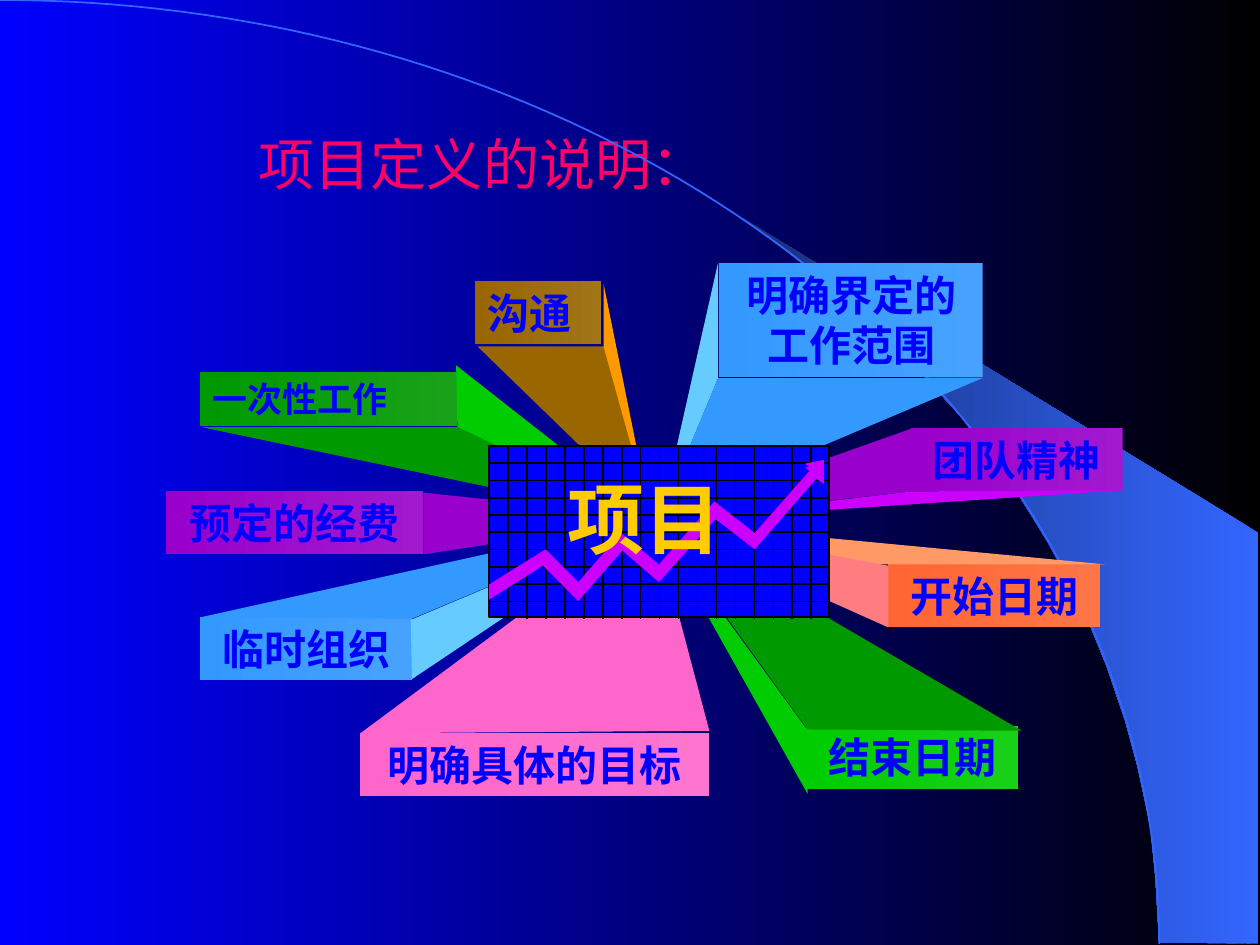
import math

import pptx
import pptx.dml.color
import pptx.enum.shapes
import pptx.enum.text
import pptx.oxml
import pptx.oxml.ns
import pptx.util

Inches = pptx.util.Inches
Align = pptx.enum.text.PP_ALIGN
Anchor = pptx.enum.text.MSO_ANCHOR
Fit = pptx.enum.text.MSO_AUTO_SIZE
LABEL = {"name": "Times New Roman", "size": 24, "bold": True, "color": "0000FF"}

BLADE = [
    (9.2, 7.48), (9.99, 7.49), (9.99, 4.23), (5.89, 1.73), (6.24, 1.99),
    (6.53, 2.22), (6.85, 2.5), (7.16, 2.8), (7.62, 3.3), (8.03, 3.84),
    (8.32, 4.31), (8.58, 4.79), (8.78, 5.28), (8.93, 5.72), (9.03, 6.09),
    (9.13, 6.56), (9.17, 6.96),
]
PANELS = [
    ("沟通", 3.77, 2.23, 1, 0.5, "A27519", "996600", Align.LEFT, 24),
    ("明确界定的\n工作范围", 5.71, 2.09, 2.09, 0.9, "47A2FE", "3399FF", Align.CENTER, 24),
    ("预定的经费", 1.32, 3.9, 2.04, 0.5, "A219D0", "9900CC", Align.CENTER, 24),
    ("一次性工作", 1.59, 2.95, 2.04, 0.43, "19A219", "009900", Align.LEFT, 20),
    ("临时组织", 1.59, 4.9, 1.68, 0.5, "47A2FE", "3399FF", Align.CENTER, 24),
    ("明确具体的目标", 2.86, 5.82, 2.77, 0.5, "FE75D0", "FF66CC", Align.CENTER, 24),
    ("团队精神", 7.23, 3.4, 1.68, 0.5, "A219D0", "9900CC", Align.CENTER, 24),
    ("开始日期", 7.05, 4.48, 1.68, 0.5, "FE7547", "FF6633", Align.CENTER, 24),
    ("结束日期", 6.4, 5.76, 1.68, 0.5, "19D019", "00CC00", Align.CENTER, 24),
]
RAYS = [
    ("996600", (3.79, 2.75), (4.84, 2.75), (5.16, 4.08)),
    ("FF9900", (4.79, 2.25), (4.79, 2.75), (5.16, 4.08)),
    ("66CCFF", (5.7, 2.08), (5.7, 3), (5.25, 4.08)),
    ("3399FF", (5.7, 3), (5.25, 4.08), (7.8, 3)),
    ("9900CC", (7.24, 3.4), (7.24, 3.9), (5.18, 4.13)),
    ("CC00FF", (8.91, 3.89), (5.18, 4.14), (7.24, 3.9)),
    ("FF9966", (5.2, 4.14), (8.78, 4.48), (6.62, 4.48)),
    ("FF7C80", (5.2, 4.15), (7.05, 4.49), (7.05, 4.98)),
    ("009900", (1.6, 3.39), (3.63, 3.39), (5.2, 4.14)),
    ("00CC00", (3.62, 2.9), (5.2, 4.14), (3.63, 3.39)),
    ("9900CC", (3.36, 3.91), (5.24, 4.11), (3.36, 4.4)),
    ("3399FF", (1.59, 4.9), (5.2, 4.1), (3.27, 4.91)),
    ("66CCFF", (5.18, 4.11), (3.26, 4.92), (3.27, 5.39)),
    ("FF66CC", (2.86, 5.82), (5.18, 4.1), (5.63, 5.8)),
    ("00CC00", (5.18, 4.11), (6.41, 6.3), (6.42, 5.81)),
    ("009900", (5.19, 4.1), (8.11, 5.8), (6.41, 5.79)),
]
TREND = [
    (3.88, 4.64), (4.33, 4.36), (4.59, 4.62), (4.93, 4.23), (5.23, 4.48),
    (5.67, 3.98), (5.99, 4.23), (6.44, 3.72), (6.39, 3.68), (6.54, 3.65),
    (6.54, 3.81), (6.48, 3.77), (5.99, 4.33), (5.68, 4.09), (5.23, 4.59),
    (4.94, 4.34), (4.59, 4.74), (4.31, 4.46), (3.88, 4.73),
]


def tint(code):
    return pptx.dml.color.RGBColor.from_string(code)


def paint(fill, *codes):
    if len(codes) == 1:
        fill.solid()
        fill.fore_color.rgb = tint(codes[0])
        return
    fill.gradient()
    fill.gradient_angle = 180
    for place, (stop, code) in enumerate(zip(fill.gradient_stops, codes)):
        stop.color.rgb = tint(code)
        stop.position = place


def edge(shape, code=None):
    if code:
        paint(shape.line.fill, code)
        shape.line.width = pptx.util.Pt(1)
    else:
        shape.line.fill.background()


def write(frame, text, style, align, anchor=Anchor.TOP, wrap=True, fit=Fit.SHAPE_TO_FIT_TEXT):
    frame.text = text
    look = {"word_wrap": wrap, "auto_size": fit, "vertical_anchor": anchor}
    for key, value in look.items():
        setattr(frame, key, value)
    for para in frame.paragraphs:
        para.alignment = align
        for run in para.runs:
            for key, value in style.items():
                if key == "color":
                    run.font.color.rgb = tint(value)
                elif key == "size":
                    run.font.size = pptx.util.Pt(value)
                else:
                    setattr(run.font, key, value)
            face = pptx.oxml.ns.qn("a:ea")
            node = run.font._element.makeelement(face, {"typeface": "Noto Sans CJK SC"})
            run.font._element.find(pptx.oxml.ns.qn("a:latin")).addnext(node)


def trace(slide, dots, codes=(), line=None, close=True):
    dots = [(Inches(x), Inches(y)) for x, y in dots]
    pen = slide.shapes.build_freeform(*dots[0])
    pen.add_line_segments(dots[1:], close=close)
    shape = pen.convert_to_shape()
    shape.shadow.inherit = False
    if codes:
        paint(shape.fill, *codes)
    else:
        shape.fill.background()
    edge(shape, line)


def box(slide, area, codes, line=None):
    kind = pptx.enum.shapes.MSO_SHAPE.RECTANGLE
    shape = slide.shapes.add_shape(kind, *map(Inches, area))
    shape.shadow.inherit = False
    paint(shape.fill, *codes)
    edge(shape, line)
    return shape


def rule(slide, *ends):
    kind = pptx.enum.shapes.MSO_CONNECTOR.STRAIGHT
    line = slide.shapes.add_connector(kind, *map(Inches, ends))
    edge(line, "000000")
    props = line._element.spPr
    props.append(props.makeelement(pptx.oxml.ns.qn("a:effectLst"), {}))


def grid(slide):
    left, top, wide, high = 3.88, 3.54, 2.71, 1.37
    box(slide, (left, top, 2.7, 1.36), ["0000FF"], "000000")
    for step in range(1, 18):
        x = left + wide * step / 18
        rule(slide, x, top, x, top + high)
    for step in range(1, 10):
        y = top + high * step / 10
        rule(slide, left, y, left + wide, y)


def main():
    deck = pptx.Presentation()
    deck.slide_width, deck.slide_height = Inches(10), Inches(7.5)
    slide = deck.slides.add_slide(deck.slide_layouts[5])
    paint(slide.background.fill, "000000", "0000FF")

    trace(slide, BLADE, ("3366FF", "172F75"))
    turns = [math.pi * step / 160 for step in range(81)]
    arc = [(9.2 * math.sin(turn), 7.49 * (1 - math.cos(turn))) for turn in turns]
    trace(slide, arc, line="3366FF", close=False)

    title = slide.shapes.title
    spot = {"left": 0.5, "top": 0.67, "width": 6.67, "height": 1.25}
    for key, value in spot.items():
        setattr(title, key, Inches(value))
    style = {"name": "Arial", "size": 32, "bold": False, "color": "FF0066"}
    write(title.text_frame, "项目定义的说明：", style, Align.CENTER, Anchor.MIDDLE, fit=Fit.NONE)

    for text, left, top, wide, high, light, dark, align, size in PANELS:
        panel = box(slide, (left, top, wide, high), (light, dark))
        write(panel.text_frame, text, {**LABEL, "size": size}, align)
    for code, *dots in RAYS:
        trace(slide, dots, [code])

    grid(slide)
    for drop in (0.03, 0):
        trace(slide, [(x, y + drop) for x, y in TREND], ["CC00FF"])
    core = slide.shapes.add_textbox(*map(Inches, (4.41, 3.69, 1.43, 0.83)))
    style = {"name": "Noto Sans CJK SC", "size": 44, "bold": True, "color": "FFCC00"}
    write(core.text_frame, "项目", style, Align.LEFT, wrap=False)

    deck.save("out.pptx")


if __name__ == "__main__":
    main()
